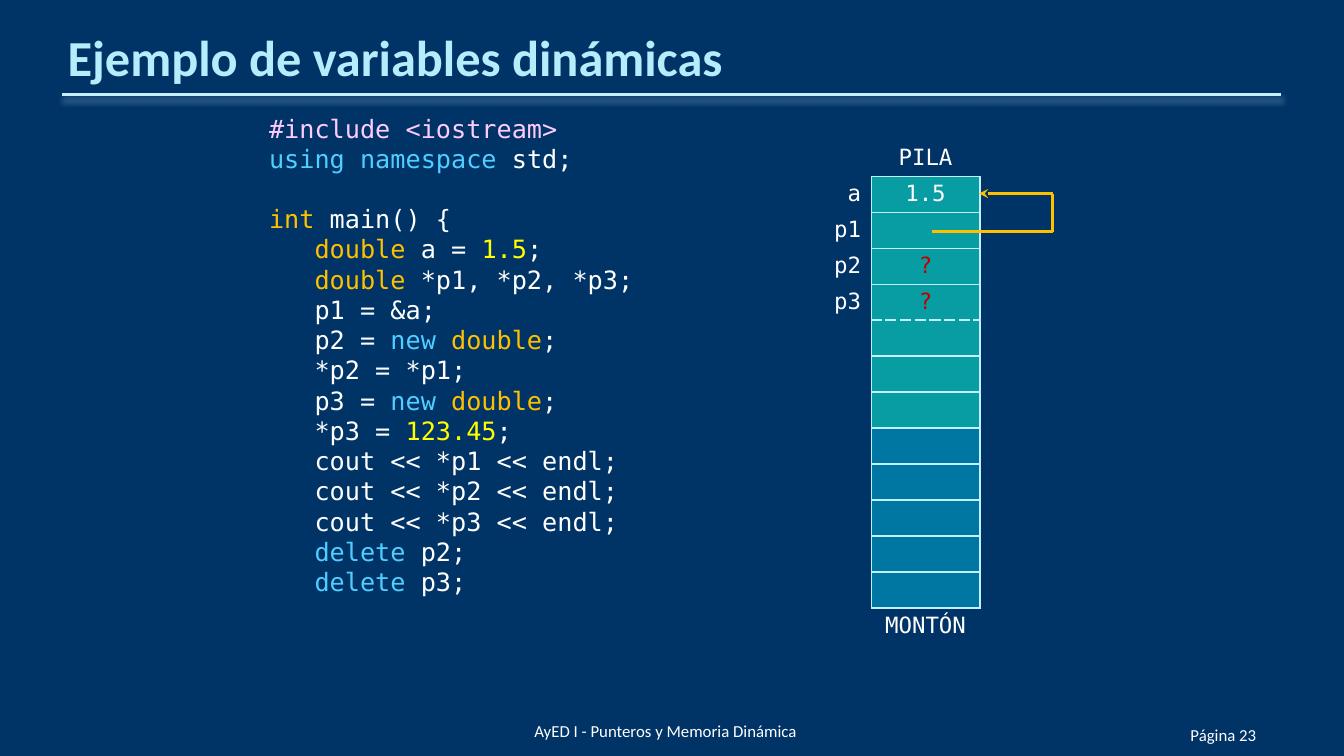
import dataclasses
import itertools

import pptx
import pptx.dml.color
import pptx.enum.shapes
import pptx.enum.text
import pptx.oxml
import pptx.oxml.ns
import pptx.util
from lxml import etree

Inches = pptx.util.Inches
Pt = pptx.util.Pt
Align = pptx.enum.text.PP_ALIGN
Anchor = pptx.enum.text.MSO_ANCHOR
Plain = "{2D5ABB26-0587-4C30-8999-92F81FD0307C}"


@dataclasses.dataclass(frozen=True)
class Theme:
    back: str = "003366"
    title: str = "B5EDFD"
    edge: str = "C4EFFF"
    glow: str = "7FA6C0"
    text: str = "FFFFFF"
    hash: str = "FFCCFF"
    word: str = "4FCEFF"
    kind: str = "FFC000"
    value: str = "FFFF00"
    doubt: str = "C00000"
    stack: str = "089CA3"
    heap: str = "0076A3"
    sans: str = "Calibri"
    mono: str = "DejaVu Sans Mono"
    head: int = 36
    code: int = 18
    cell: int = 16
    foot: int = 12


def rgb(ink):
    return pptx.dml.color.RGBColor.from_string(ink)


def put(item, **values):
    for name, value in values.items():
        setattr(item, name, value)


class Deck:
    def __init__(self, theme):
        self.theme = theme
        self.show = pptx.Presentation()
        put(self.show, slide_width=Inches(13.33), slide_height=Inches(7.5))
        self.slide = self.show.slides.add_slide(self.show.slide_layouts[6])
        fill = self.slide.background.fill
        fill.solid()
        fill.fore_color.rgb = rgb(theme.back)

    def span(self, para, text, ink, **font):
        run = para.add_run()
        run.text = text
        put(run.font, **font)
        run.font.color.rgb = rgb(ink)

    def box(self, place, **frame):
        text = self.slide.shapes.add_textbox(*map(Inches, place)).text_frame
        put(text, word_wrap=True, **frame)
        return text

    def label(self, place, text, ink, size, top=0, bold=False, align=Align.LEFT):
        frame = self.box(place, vertical_anchor=Anchor.BOTTOM, margin_left=0,
                         margin_right=0, margin_top=Inches(top), margin_bottom=0)
        para = frame.paragraphs[0]
        para.alignment = align
        self.span(para, text, ink, size=Pt(size), name=self.theme.sans, bold=bold)

    def line(self, host, start, end, ink, tip=False, glow=False):
        kind = pptx.enum.shapes.MSO_CONNECTOR.STRAIGHT
        line = host.add_connector(kind, *map(Inches, start + end))
        line.line.width = Pt(2.25)
        line.line.color.rgb = rgb(ink)
        if tip:
            stroke = line._element.spPr.find(pptx.oxml.ns.qn("a:ln"))
            etree.SubElement(stroke, pptx.oxml.ns.qn("a:tailEnd"), type="stealth")
        shade = (f'<a:outerShdw blurRad="{Pt(4.5)}" dist="{Pt(3)}" dir="5400000">'
                 f'<a:srgbClr val="{self.theme.glow}"><a:alpha val="48000"/>'
                 '</a:srgbClr></a:outerShdw>') if glow else ""
        line._element.spPr.append(pptx.oxml.parse_xml(
            f'<a:effectLst {pptx.oxml.ns.nsdecls("a")}>{shade}</a:effectLst>'))

    def code(self, place, lines, inks):
        frame = self.box(place)
        for row, text in enumerate(lines):
            para = frame.add_paragraph() if row else frame.paragraphs[0]
            para.line_spacing = Pt(21.6)
            para._p.get_or_add_pPr().set("marL", str(Inches(0.4)))
            for ink, part in self.tint(text, inks):
                self.span(para, part, ink, size=Pt(self.theme.code), name=self.theme.mono)

    def tint(self, text, inks):
        if text.startswith("#"):
            return [(self.theme.hash, text)]
        parts = ["".join(run) for _, run in
                 itertools.groupby(text, lambda sign: sign.isalnum() or sign == ".")]
        runs = itertools.groupby(parts, lambda part: inks.get(part, self.theme.text))
        return [(ink, "".join(run)) for ink, run in runs]

    def table(self, place, widths, rows):
        frame = self.slide.shapes.add_table(len(rows), len(widths), *map(Inches, place))
        grid = frame.table
        put(grid, first_row=False, horz_banding=False)
        grid._tbl.tblPr.find(pptx.oxml.ns.qn("a:tableStyleId")).text = Plain
        for col, width in zip(grid.columns, widths):
            col.width = Inches(width)
        for row, (name, text, ink, fill, dashed) in enumerate(rows):
            grid.rows[row].height = Inches(place[3] / len(rows))
            self.cell(grid.cell(row, 0), name, self.theme.text, Align.RIGHT)
            self.cell(grid.cell(row, 1), text, ink, Align.CENTER, fill, dashed)

    def cell(self, cell, text, ink, align, fill=None, dashed=""):
        put(cell, vertical_anchor=Anchor.MIDDLE,
            margin_top=Inches(0.02), margin_bottom=Inches(0.02))
        para = cell.text_frame.paragraphs[0]
        para.alignment = align
        if text:
            self.span(para, text, ink, size=Pt(self.theme.cell), name=self.theme.mono)
        if not fill:
            cell.fill.background()
            return
        for side in "LRTB":
            dash, width = ("sysDash", 1.5) if side in dashed else ("solid", 1)
            cell._tc.get_or_add_tcPr().append(pptx.oxml.parse_xml(
                f'<a:ln{side} {pptx.oxml.ns.nsdecls("a")} w="{Pt(width)}"><a:solidFill>'
                f'<a:srgbClr val="{self.theme.edge}"/></a:solidFill>'
                f'<a:prstDash val="{dash}"/></a:ln{side}>'))
        cell.fill.solid()
        cell.fill.fore_color.rgb = rgb(fill)


CODE = """#include <iostream>
using namespace std;

int main() {
   double a = 1.5;
   double *p1, *p2, *p3;
   p1 = &a;
   p2 = new double;
   *p2 = *p1;
   p3 = new double;
   *p3 = 123.45;
   cout << *p1 << endl;
   cout << *p2 << endl;
   cout << *p3 << endl;
   delete p2;
   delete p3;"""


def main():
    look = Theme()
    deck = Deck(look)
    deck.line(deck.slide.shapes, (0.62, 0.94), (12.71, 0.94), look.edge, glow=True)
    deck.label((0.67, 0.31, 12, 0.55), "Ejemplo de variables dinámicas",
               look.title, look.head, top=0.05, bold=True)
    deck.label((11.15, 6.99, 1.31, 0.4), "Página 23", look.text, look.foot,
               align=Align.RIGHT)
    deck.label((5.3, 6.95, 4.79, 0.4), "AyED I - Punteros y Memoria Dinámica",
               look.text, look.foot)

    inks = dict.fromkeys(("using", "namespace", "new", "delete"), look.word)
    inks.update(dict.fromkeys(("int", "double"), look.kind))
    inks.update(dict.fromkeys(("1.5", "123.45"), look.value))
    deck.code((2.17, 1.07, 9, 5.59), CODE.splitlines(), inks)

    blank = ("", "", look.text)
    rows = [("", "PILA", look.text, None, ""),
            ("a", "1.5", look.text, look.stack, ""),
            ("p1", "", look.text, look.stack, ""),
            ("p2", "?", look.doubt, look.stack, ""),
            ("p3", "?", look.doubt, look.stack, "B"),
            (*blank, look.stack, "T")]
    rows += [(*blank, look.stack, "")] * 2 + [(*blank, look.heap, "")] * 5
    rows.append(("", "MONTÓN", look.text, None, ""))
    deck.table((7.93, 1.39, 1.79, 5), (0.71, 1.08), rows)

    arrow = deck.slide.shapes.add_group_shape().shapes
    bends = [(9.24, 2.3), (10.44, 2.3), (10.44, 1.92), (9.71, 1.92)]
    for start, end in zip(bends, bends[1:]):
        deck.line(arrow, start, end, look.kind, tip=end == bends[-1])
    deck.show.save("out.pptx")


if __name__ == "__main__":
    main()
